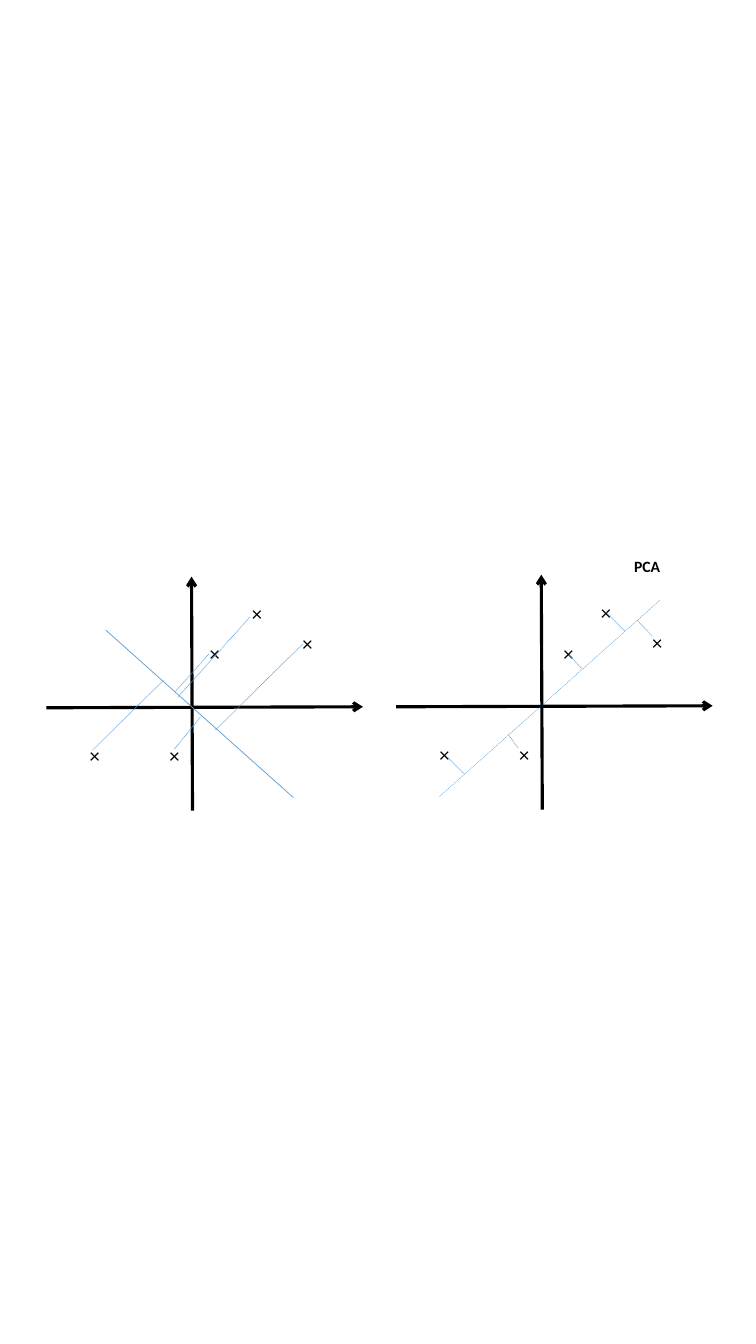
"""Draw two plots that project five points onto a line, one of them the PCA line."""
from dataclasses import dataclass
from typing import Any

from lxml.etree import SubElement
from pptx import Presentation
from pptx.dml.color import RGBColor
from pptx.enum.dml import MSO_LINE
from pptx.enum.shapes import MSO_CONNECTOR
from pptx.oxml.ns import qn
from pptx.util import Inches, Pt

BLACK, BLUE, DEEP = "000000", "5B9BD5", "0070C0"
Ends = tuple[float, float, float, float]


@dataclass(frozen=True)
class Plot:
    axes: list[Ends]
    marks: list[tuple[float, float]]
    base: Ends
    tint: str
    weight: float
    drops: list[Ends]


PLOTS = [
    Plot(
        axes=[(5.38, 8.03, 5.37, 5.7), (3.93, 7.01, 7.07, 7)],
        marks=[(5.5, 6.31), (5.87, 5.9), (6.38, 6.2), (5.06, 7.31), (4.27, 7.31)],
        base=(6.55, 5.95, 4.36, 7.9), tint=DEEP, weight=0.05,
        drops=[(6.01, 6.07, 6.2, 6.26), (5.65, 6.5, 5.77, 6.63),
               (6.47, 6.31, 6.32, 6.15), (5.14, 7.42, 5.04, 7.28),
               (4.43, 7.5, 4.61, 7.68)],
    ),
    Plot(
        axes=[(1.91, 8.04, 1.9, 5.72), (0.46, 7.02, 3.6, 7.01)],
        marks=[(1.99, 6.31), (2.41, 5.91), (2.91, 6.21), (1.59, 7.32), (0.8, 7.32)],
        base=(1.05, 6.25, 2.91, 7.91), tint=BLUE, weight=0.5,
        drops=[(2.07, 6.49, 1.73, 6.87), (2.48, 6.12, 1.76, 6.92),
               (3, 6.39, 2.14, 7.24), (0.92, 7.44, 1.62, 6.75),
               (1.73, 7.43, 1.99, 7.11)],
    ),
]


def color(code: str) -> RGBColor:
    """Turn a hex string into a colour."""
    return RGBColor.from_string(code)


def add_line(shapes: Any, ends: Ends, tint: str, weight: float,
             dotted: bool = False, arrow: bool = False) -> None:
    """Draw a straight line, dotted or with an arrow on request."""
    link = shapes.add_connector(MSO_CONNECTOR.STRAIGHT, *map(Inches, ends))
    link.line.color.rgb = color(tint)
    link.line.width = Pt(weight)
    if dotted:
        link.line.dash_style = MSO_LINE.ROUND_DOT
    props = link._element.spPr
    if arrow:
        SubElement(props.find(qn("a:ln")), qn("a:tailEnd"), type="arrow")
    SubElement(props, qn("a:effectLst"))


def add_text(shapes: Any, text: str, left: float, top: float, width: float,
             height: float, size: float, bold: bool = False) -> None:
    """Place a short label in a text box."""
    frame = shapes.add_textbox(*map(Inches, (left, top, width, height))).text_frame
    frame.word_wrap = True
    frame.margin_left = Inches(0.09)
    frame.margin_right = Inches(0.04)
    frame.margin_top = frame.margin_bottom = Inches(0.05)
    label = frame.paragraphs[0]
    label.text = text
    label.font.name = "Calibri"
    label.font.size = Pt(size)
    label.font.bold = bold
    label.font.color.rgb = color(BLACK)


def add_plot(shapes: Any, plot: Plot) -> None:
    """Draw the axes, the points, the base line and the drops of one plot."""
    group = shapes.add_group_shape().shapes
    for ends in plot.axes:
        add_line(group, ends, BLACK, 2.25, arrow=True)
    for left, top in plot.marks:
        add_text(group, "×", left, top, 0.24, 0.34, 14.7)
    add_line(group, plot.base, plot.tint, plot.weight)
    for ends in plot.drops:
        add_line(group, ends, BLUE, 0.5, dotted=True)


def main() -> None:
    """Build and save the slide."""
    deck = Presentation()
    deck.slide_width, deck.slide_height = Inches(7.5), Inches(13.33)
    shapes = deck.slides.add_slide(deck.slide_layouts[6]).shapes
    for plot in PLOTS:
        add_plot(shapes, plot)
    add_text(shapes, "PCA", 6.2, 5.47, 0.51, 0.29, 11.2, bold=True)
    deck.save("out.pptx")


if __name__ == "__main__":
    main()
